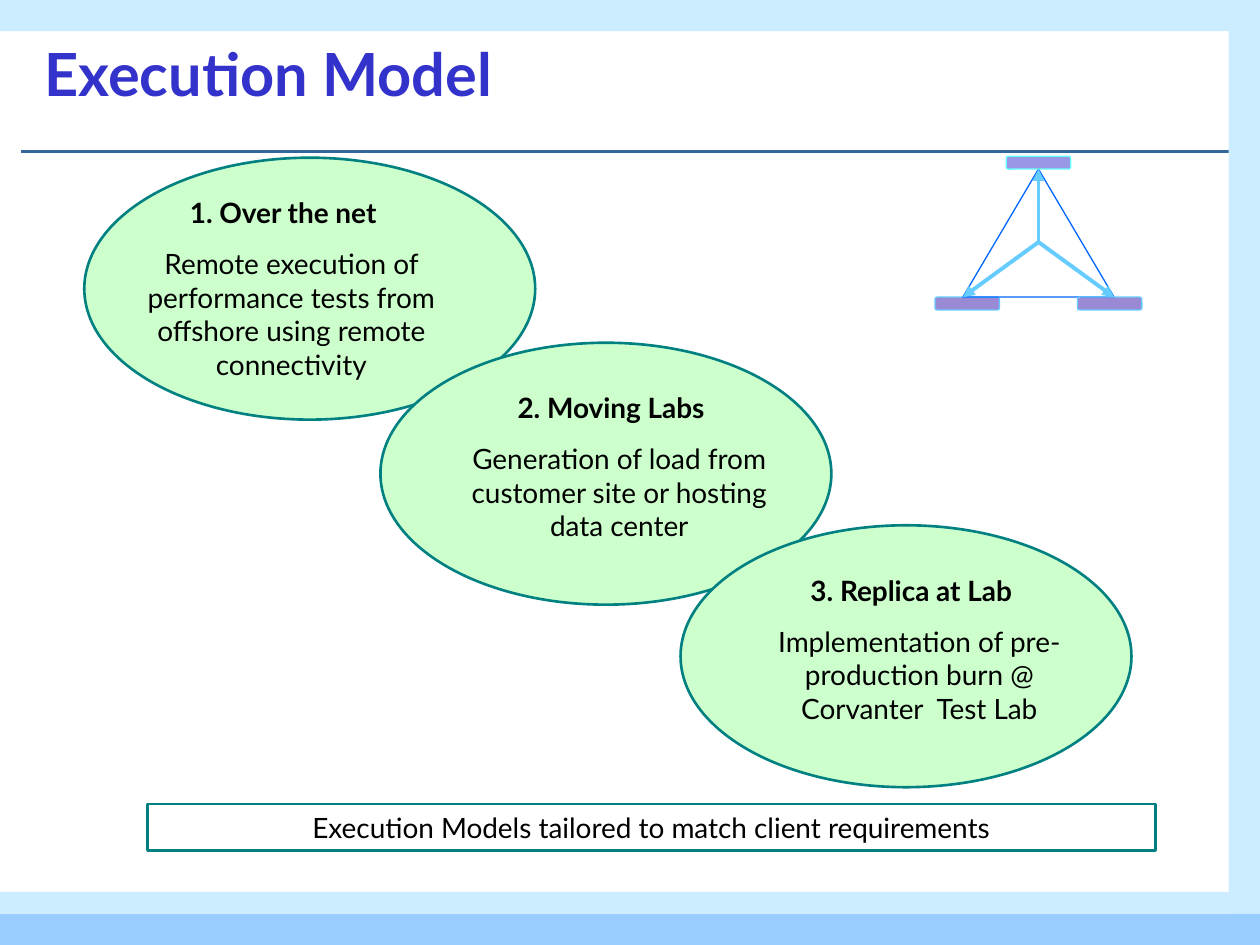
from lxml.etree import SubElement
from pptx import Presentation
from pptx.dml.color import RGBColor
from pptx.enum.shapes import MSO_CONNECTOR, MSO_SHAPE
from pptx.enum.text import MSO_ANCHOR, PP_ALIGN
from pptx.oxml.ns import qn
from pptx.util import Cm, Pt

FONT = "Lato"
BLACK = RGBColor(0x00, 0x00, 0x00)
TITLE = RGBColor(0x33, 0x33, 0xCC)
RULE = RGBColor(0x33, 0x66, 0x99)
PALE = RGBColor(0xCC, 0xEC, 0xFF)
BAND = RGBColor(0x99, 0xCC, 0xFF)
MINT = RGBColor(0xCC, 0xFF, 0xCC)
TEAL = RGBColor(0x00, 0x80, 0x80)
SKY = RGBColor(0x66, 0xCC, 0xFF)
AQUA = RGBColor(0x66, 0xFF, 0xFF)
BLUE = RGBColor(0x00, 0x66, 0xFF)
PURPLE = RGBColor(0x36, 0x16, 0xAC)

# Left, top, title, body, and the text box's offset and height
MODELS = [
    (1.7, 3.18, "1. Over the net",
     "Remote execution of performance tests from offshore using remote connectivity",
     (0.2, 0.64), 4),
    (7.67, 6.91, "2. Moving Labs",
     "Generation of load from customer site or hosting data center",
     (0.84, 0.84), 3.33),
    (13.72, 10.59, "3. Replica at Lab",
     "Implementation of pre-production burn @ Corvanter  Test Lab",
     (0.84, 0.84), 3.33),
]


def add_form(slide, kind, box, fill=None, line=None, width=0.75):
    form = slide.shapes.add_shape(kind, *map(Cm, box))
    form.shadow.inherit = False
    if fill is None:
        form.fill.background()
    else:
        form.fill.solid()
        form.fill.fore_color.rgb = fill
    if line is None:
        form.line.fill.background()
    else:
        form.line.color.rgb = line
        form.line.width = Pt(width)
    return form


def add_line(slide, start, end, color, width, arrow=False):
    line = slide.shapes.add_connector(
        MSO_CONNECTOR.STRAIGHT, *map(Cm, start + end))
    line.line.color.rgb = color
    line.line.width = Pt(width)
    if arrow:
        SubElement(line.line._get_or_add_ln(), qn("a:tailEnd"), type="triangle")
    SubElement(line._element.spPr, qn("a:effectLst"))


def set_para(para, text, bold=False):
    para.text = text
    para.alignment = PP_ALIGN.CENTER
    para.space_before = Pt(10)
    font = para.font
    font.name, font.size, font.bold = FONT, Pt(16), bold
    font.color.rgb = BLACK


def add_frame(slide, wide, high):
    edge, foot, thin = 0.63, 0.63, 0.44
    base = high - foot
    add_line(slide, (0.43, 3.05), (wide - edge, 3.05), RULE, 1.5)
    for box, color in [
        ((0, base, wide, foot), BAND),
        ((0, base - thin, wide, thin), PALE),
        ((wide - edge, 0, edge, base), PALE),
        ((0, 0, wide, edge), PALE),
    ]:
        add_form(slide, MSO_SHAPE.RECTANGLE, box, color)


def add_title(slide, left, top, wide, high):
    title = slide.shapes.title
    title.left, title.top, title.width, title.height = map(
        Cm, (left, top, wide, high))
    frame = title.text_frame
    frame.vertical_anchor = MSO_ANCHOR.MIDDLE
    para = frame.paragraphs[0]
    para.text = "Execution Model"
    para.alignment = PP_ALIGN.LEFT
    font = para.font
    font.name, font.size, font.bold = FONT, Pt(34), True
    font.color.rgb = TITLE


def add_triad(slide, left, top, wide, high):
    long, thick, inset = 1.3, 0.26, 0.56
    mid, low = left + wide / 2, top + high - thick
    peak = top + thick

    def add_plate(x, y, fill, line):
        box = (x, y, long, thick)
        plate = add_form(slide, MSO_SHAPE.ROUNDED_RECTANGLE, box, fill, line)
        color = plate._element.spPr.find(qn("a:solidFill"))[0]
        SubElement(color, qn("a:alpha"), val="50000")

    # Triangle and spokes from its hub
    add_plate(left, low, PURPLE, SKY)
    add_form(slide, MSO_SHAPE.ISOSCELES_TRIANGLE,
             (left + inset, peak, wide - 2 * inset, low - peak), line=BLUE)
    hub = (mid, top + 1.73)
    for tip in [(mid, peak), (left + inset, low), (left + wide - inset, low)]:
        add_line(slide, hub, tip, SKY, 2.25, arrow=True)
    add_plate(mid - long / 2, top, TITLE, AQUA)
    add_plate(left + wide - long, low, PURPLE, SKY)


def add_model(slide, left, top, head, body, shift, tall):
    add_form(slide, MSO_SHAPE.OVAL, (left, top, 9.09, 5.28), MINT, TEAL, 1.5)
    area = slide.shapes.add_textbox(
        Cm(left + shift[0]), Cm(top + shift[1]), Cm(7.62), Cm(tall))
    frame = area.text_frame
    frame.word_wrap = True
    set_para(frame.paragraphs[0], head, bold=True)
    para = frame.add_paragraph()
    set_para(para, body)
    para._p.get_or_add_pPr().set("marL", str(Cm(0.33)))


def add_note(slide, *box):
    note = add_form(slide, MSO_SHAPE.RECTANGLE, box, line=TEAL, width=1.5)
    frame = note.text_frame
    frame.vertical_anchor = MSO_ANCHOR.TOP
    set_para(frame.paragraphs[0],
             "Execution Models tailored to match client requirements")


def main():
    deck = Presentation()
    wide, high = 25.4, 19.05
    deck.slide_width, deck.slide_height = Cm(wide), Cm(high)
    slide = deck.slides.add_slide(deck.slide_layouts[5])
    add_frame(slide, wide, high)
    add_title(slide, 0.64, 0.2, 22.43, 2.54)
    add_triad(slide, 18.85, 3.15, 4.17, 3.1)
    for model in MODELS:
        add_model(slide, *model)
    add_note(slide, 2.97, 16.21, 20.32, 0.94)
    deck.save("out.pptx")


if __name__ == "__main__":
    main()
